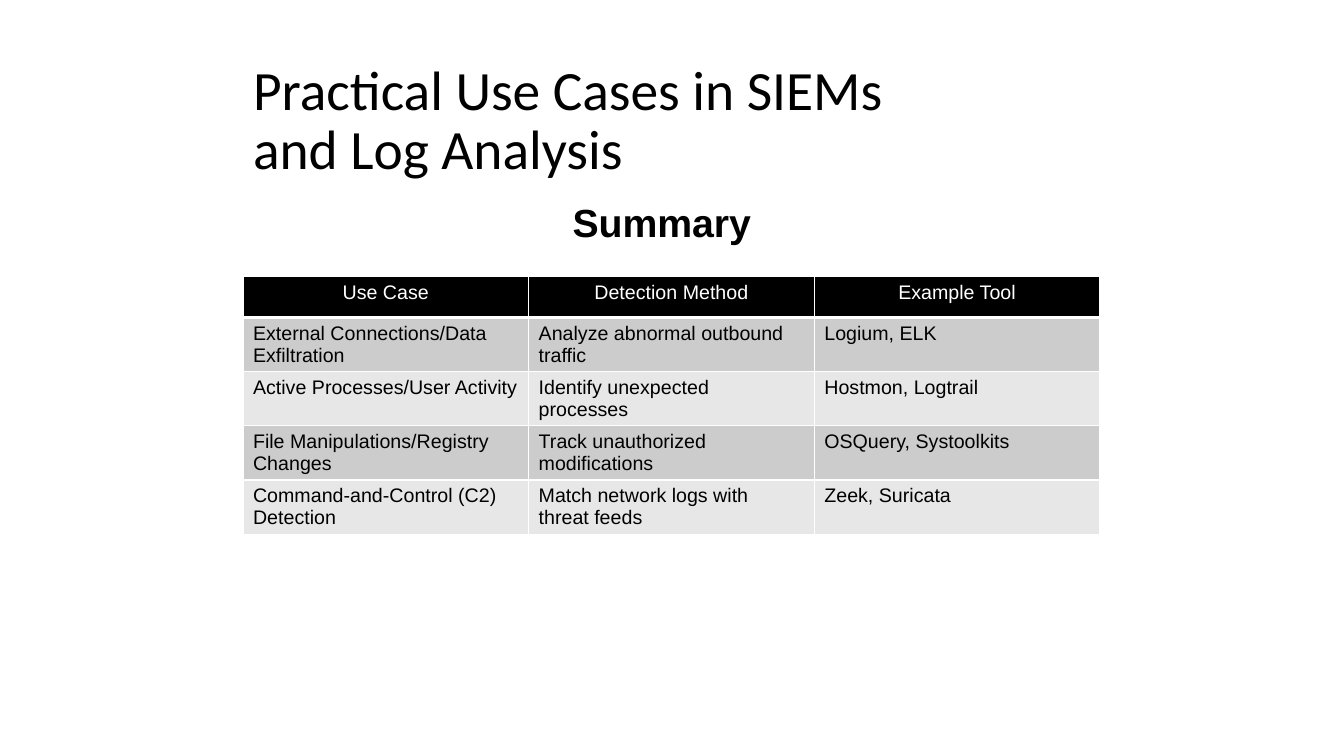
from dataclasses import dataclass

from lxml.etree import SubElement
from pptx import Presentation
from pptx.dml.color import RGBColor as RGB
from pptx.enum.text import MSO_ANCHOR as Anchor, MSO_AUTO_SIZE as AutoSize, PP_ALIGN as Align
from pptx.oxml.ns import qn
from pptx.util import Inches, Pt


@dataclass(frozen=True)
class Theme:
    ink: str = "000000"
    paper: str = "FFFFFF"
    bands: tuple = ("CCCCCC", "E7E7E7")
    title_font: str = "Calibri"
    body_font: str = "Arial"
    title_size: float = 39.6
    heading_size: float = 28
    table_size: float = 14
    rule: float = 1
    header_rule: float = 3


@dataclass(frozen=True)
class Box:
    left: float
    top: float
    width: float
    height: float

    def emu(self):
        return [Inches(length) for length in (self.left, self.top, self.width, self.height)]


THEME = Theme()
WIDTH, HEIGHT = 13.33, 7.5
TITLE = "Practical Use Cases in SIEMs\vand Log Analysis"
HEADING = "Summary"
USE_CASES = [
    ("Use Case", "Detection Method", "Example Tool"),
    ("External Connections/Data Exfiltration", "Analyze abnormal outbound traffic", "Logium, ELK"),
    ("Active Processes/User Activity", "Identify unexpected processes", "Hostmon, Logtrail"),
    ("File Manipulations/Registry Changes", "Track unauthorized modifications", "OSQuery, Systoolkits"),
    ("Command-and-Control (C2) Detection", "Match network logs with threat feeds", "Zeek, Suricata"),
]


def style_runs(paragraph, font, size, colour, bold=False):
    for run in paragraph.runs:
        run.font.name = font
        run.font.size = Pt(size)
        run.font.bold = bold
        run.font.color.rgb = RGB.from_string(colour)


def add_title(slide, box):
    title = slide.shapes.title
    title.left, title.top, title.width, title.height = box.emu()
    frame = title.text_frame
    frame.text = TITLE
    frame.auto_size = AutoSize.NONE
    frame.vertical_anchor = Anchor.MIDDLE
    line = frame.paragraphs[0]
    line.alignment = Align.LEFT
    line.line_spacing = 0.9
    style_runs(line, THEME.title_font, THEME.title_size, THEME.ink)


def add_heading(slide, box):
    frame = slide.shapes.add_textbox(*box.emu()).text_frame
    frame.text = HEADING
    frame.word_wrap = False
    frame.auto_size = AutoSize.SHAPE_TO_FIT_TEXT
    style_runs(frame.paragraphs[0], THEME.body_font, THEME.heading_size, THEME.ink, bold=True)


def set_borders(cell, bottom):
    """Rule all four sides; borders must precede the fill in the cell's XML."""
    properties = cell._tc.get_or_add_tcPr()
    for side in ("L", "R", "T", "B"):
        weight = bottom if side == "B" else THEME.rule
        border = SubElement(properties, qn(f"a:ln{side}"), w=str(Pt(weight)))
        SubElement(SubElement(border, qn("a:solidFill")), qn("a:srgbClr"), val=THEME.paper)


def add_use_case_table(slide, box):
    table = slide.shapes.add_table(len(USE_CASES), len(USE_CASES[0]), *box.emu()).table
    for row, entries in enumerate(USE_CASES):
        header = row == 0
        fill = THEME.ink if header else THEME.bands[(row - 1) % 2]
        for column, entry in enumerate(entries):
            cell = table.cell(row, column)
            cell.text = entry
            set_borders(cell, THEME.header_rule if header else THEME.rule)
            cell.fill.solid()
            cell.fill.fore_color.rgb = RGB.from_string(fill)
            line = cell.text_frame.paragraphs[0]
            line.alignment = Align.CENTER if header else Align.LEFT
            style_runs(line, THEME.body_font, THEME.table_size, THEME.paper if header else THEME.ink)


def build_summary_slide(deck):
    slide = deck.slides.add_slide(deck.slide_layouts[5])
    content = Box(2.41, 0.75, 8.5, HEIGHT - 1.5)
    add_title(slide, Box(content.left, content.top, content.width, 0.92))
    add_use_case_table(slide, Box(content.left, content.top + 1.99, content.width, 0.41 * len(USE_CASES)))
    add_heading(slide, Box(content.left + 3.17, content.top + 1.17, 1.99, 0.57))


def main():
    deck = Presentation()
    deck.slide_width, deck.slide_height = Inches(WIDTH), Inches(HEIGHT)
    build_summary_slide(deck)
    deck.save("out.pptx")


if __name__ == "__main__":
    main()
